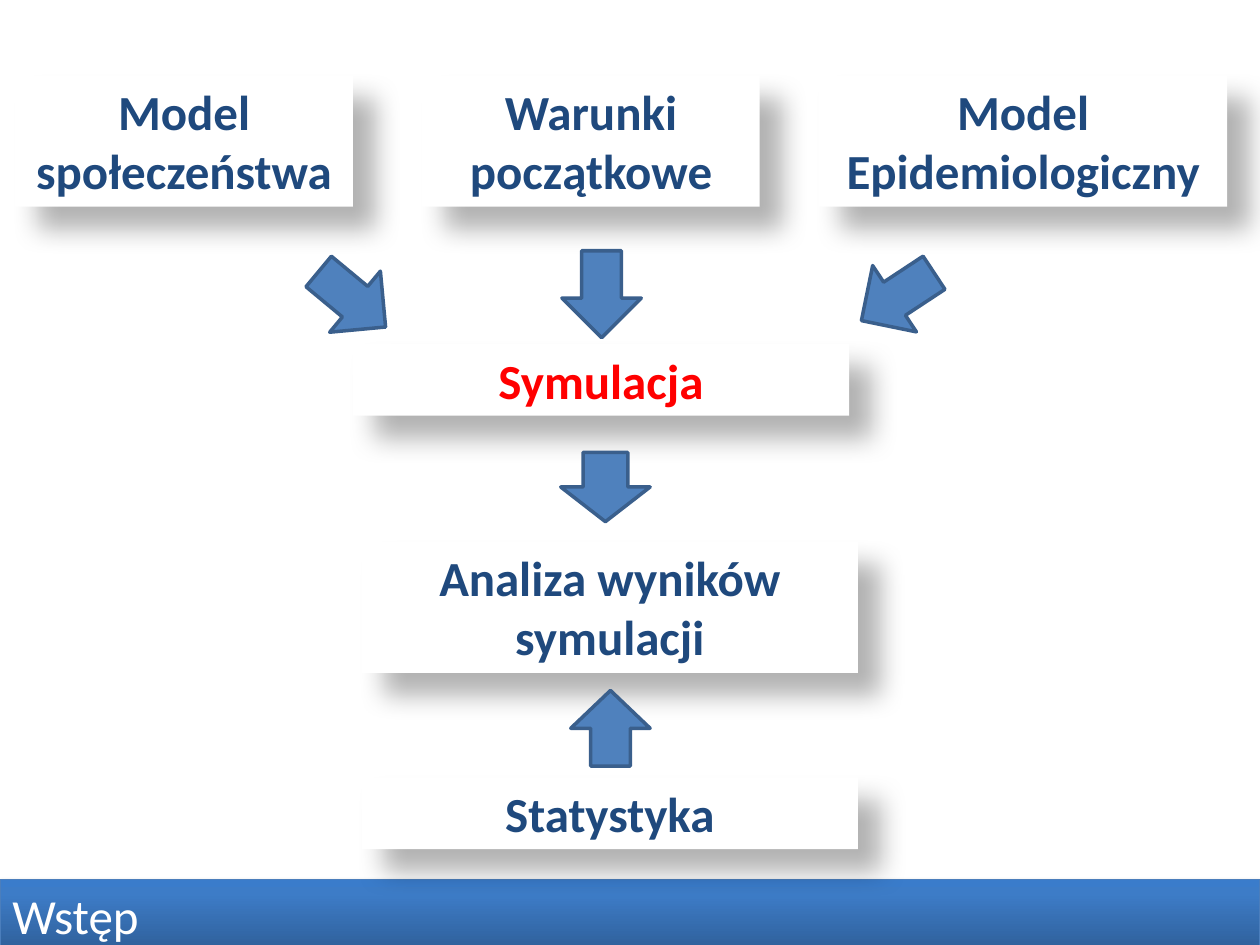
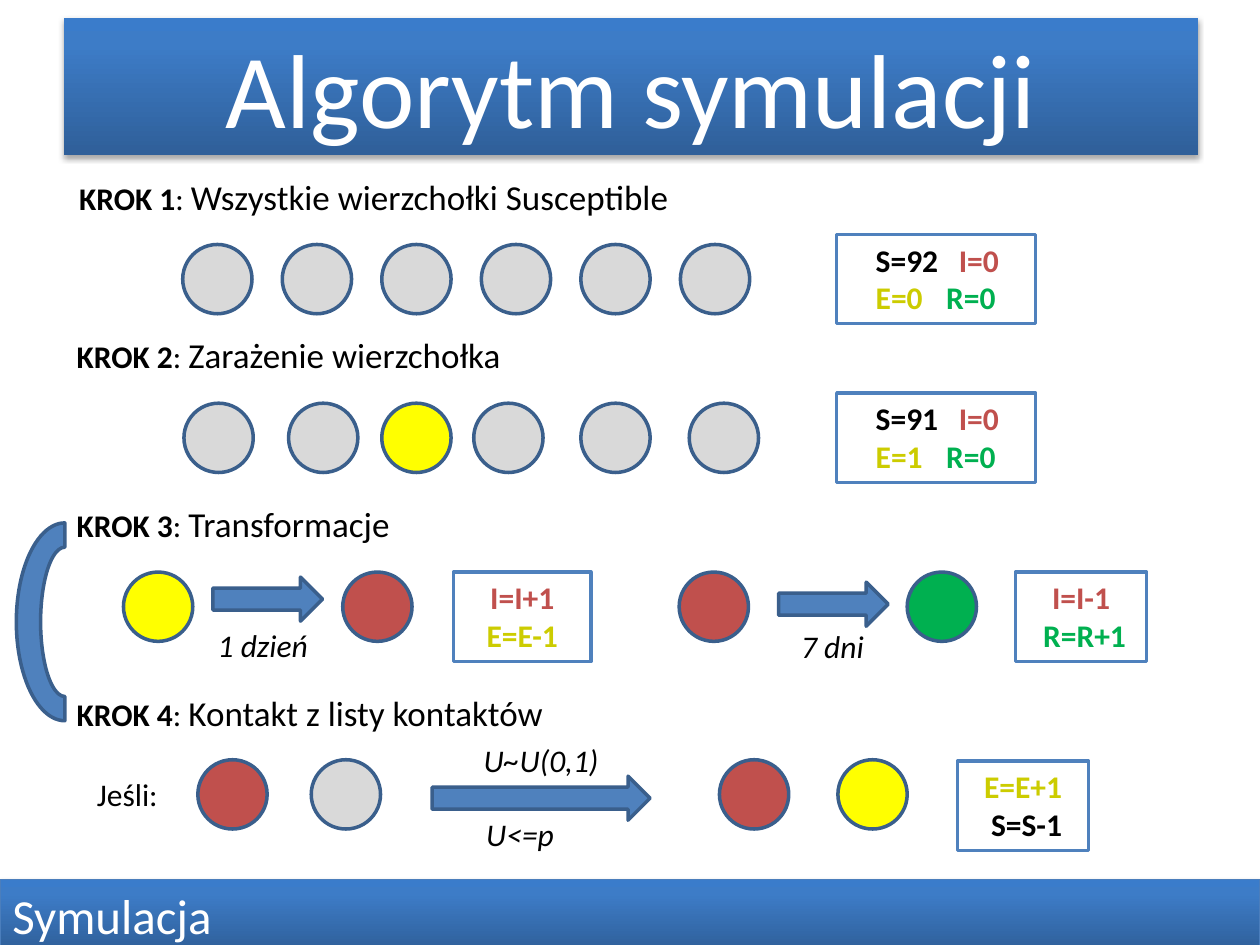
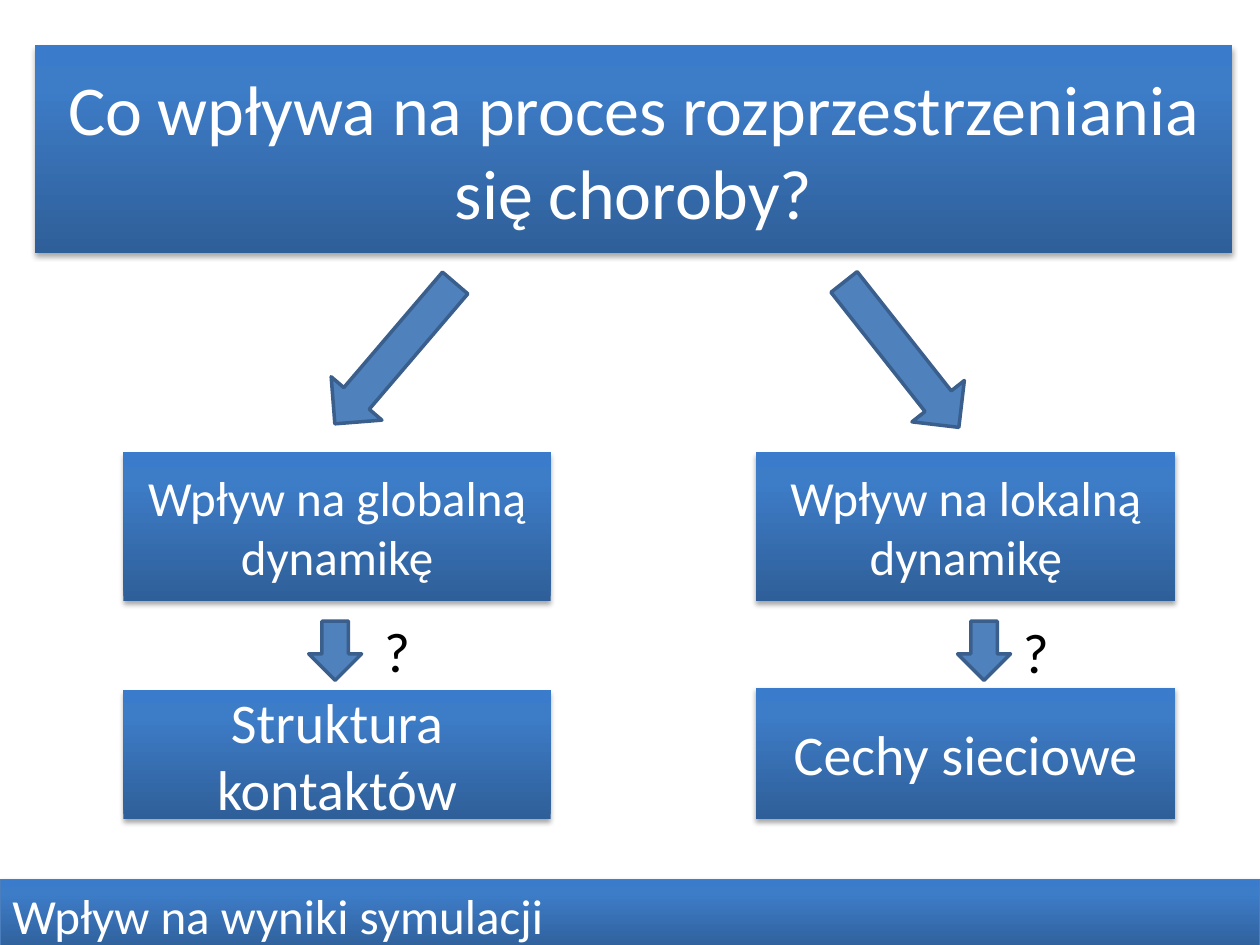
"""Build three slides about an epidemic simulation and save them to out.pptx."""
from copy import deepcopy

from lxml import etree
from pptx import Presentation
from pptx.dml.color import RGBColor
from pptx.enum.shapes import MSO_SHAPE
from pptx.enum.text import MSO_ANCHOR, PP_ALIGN
from pptx.oxml.ns import qn
from pptx.util import Inches, Pt

RECTANGLE = MSO_SHAPE.RECTANGLE
OVAL = MSO_SHAPE.OVAL
DOWN_ARROW = MSO_SHAPE.DOWN_ARROW
RIGHT_ARROW = MSO_SHAPE.RIGHT_ARROW
BLOCK_ARC = MSO_SHAPE.BLOCK_ARC
LEFT = PP_ALIGN.LEFT
CENTER = PP_ALIGN.CENTER
TOP = MSO_ANCHOR.TOP
MIDDLE = MSO_ANCHOR.MIDDLE

WHITE = RGBColor(0xFF, 0xFF, 0xFF)
BLACK = RGBColor(0x00, 0x00, 0x00)
RED = RGBColor(0xFF, 0x00, 0x00)
NAVY = RGBColor(0x1F, 0x49, 0x7D)
BLUE = RGBColor(0x4F, 0x81, 0xBD)
OUTLINE = RGBColor(0x3A, 0x5F, 0x8C)
FOOTER_LINE = RGBColor(0x4B, 0x7E, 0xBC)
GRADIENT_DARK = RGBColor(0x2F, 0x5F, 0x99)
GRADIENT_MIDDLE = RGBColor(0x3D, 0x7C, 0xC7)
GRADIENT_LIGHT = RGBColor(0x3A, 0x7C, 0xCB)
SUSCEPTIBLE = RGBColor(0xD9, 0xD9, 0xD9)
EXPOSED = RGBColor(0xFF, 0xFF, 0x00)
EXPOSED_TEXT = RGBColor(0xCC, 0xCC, 0x00)
INFECTED = RGBColor(0xC0, 0x50, 0x4D)
RECOVERED = RGBColor(0x00, 0xB0, 0x50)

FONT = "Calibri"
GRADIENT = [(0, GRADIENT_DARK), (0.8, GRADIENT_MIDDLE), (1, GRADIENT_LIGHT)]
BAND_SHADOW = (35, 3.1, 1.8, 90)
CARD_SHADOW = (30, 15, 18, 45)
CIRCLE = 0.55


def draw(slide, kind, at, fill, line=None, width=2, shadow=None, rotation=0):
    """Add a preset shape with a solid or gradient fill and an optional shadow."""
    shape = slide.shapes.add_shape(kind, *[Inches(length) for length in at])
    shape.rotation = rotation
    if fill is GRADIENT:
        shape.fill.gradient()
        shape.fill.gradient_angle = 90
        stop_list = shape._element.spPr.find(qn("a:gradFill")).find(qn("a:gsLst"))
        stop_list.append(deepcopy(stop_list[-1]))
        for stop, (position, color) in zip(shape.fill.gradient_stops, GRADIENT):
            stop.position = position
            stop.color.rgb = color
    else:
        shape.fill.solid()
        shape.fill.fore_color.rgb = fill
    if line is None:
        shape.line.fill.background()
    else:
        shape.line.color.rgb = line
        shape.line.width = Pt(width)
    shape.shadow.inherit = False
    if shadow:
        opacity, blur, distance, angle = shadow
        effects = shape._element.spPr.find(qn("a:effectLst"))
        outer = etree.SubElement(
            effects, qn("a:outerShdw"), blurRad=str(Pt(blur)), dist=str(Pt(distance)),
            dir=str(angle * 60000), algn="tl", rotWithShape="0")
        color = etree.SubElement(outer, qn("a:srgbClr"), val="000000")
        etree.SubElement(color, qn("a:alpha"), val=str(opacity * 1000))
    return shape


def write(shape, paragraphs, align=CENTER, anchor=TOP, wrap=True):
    """Fill a shape with paragraphs of (text, size, color, style) runs."""
    frame = shape.text_frame
    frame.word_wrap = wrap
    frame.vertical_anchor = anchor
    for index, runs in enumerate(paragraphs):
        paragraph = frame.add_paragraph() if index else frame.paragraphs[0]
        paragraph.alignment = align
        for text, size, color, style in runs:
            run = paragraph.add_run()
            run.text = text
            run.font.name = FONT
            run.font.size = Pt(size)
            run.font.color.rgb = color
            run.font.bold = style == "bold"
            run.font.italic = style == "italic"


presentation = Presentation()
presentation.slide_width = Inches(10)
presentation.slide_height = Inches(7.5)
slides = []
for section in ["Wstęp", "Symulacja", "Wpływ na wyniki symulacji"]:
    slide = presentation.slides.add_slide(presentation.slide_layouts[6])
    footer = draw(slide, RECTANGLE, (0, 6.98, 10, 0.57), GRADIENT, FOOTER_LINE, 0.75, BAND_SHADOW)
    write(footer, [[(section, 28, WHITE, "")]], LEFT)
    slides.append(slide)
overview, algorithm, influence = slides

cards = [
    ((2.8, 2.73, 3.94, 0.57), ["Symulacja"], RED),
    ((0.12, 0.6, 2.68, 1.04), ["Model społeczeństwa"], NAVY),
    ((3.35, 0.6, 2.68, 1.04), ["Warunki początkowe"], NAVY),
    ((6.5, 0.6, 3.24, 1.04), ["Model", "Epidemiologiczny"], NAVY),
    ((2.87, 4.3, 3.94, 1.04), ["Analiza wyników symulacji"], NAVY),
    ((2.87, 6.17, 3.94, 0.57), ["Statystyka"], NAVY),
]
for at, lines, color in cards:
    card = draw(overview, RECTANGLE, at, WHITE, shadow=CARD_SHADOW)
    write(card, [[(text, 28, color, "bold")] for text in lines])

arrows = [
    (overview, (6.81, 2.01, 0.63, 0.69), 56.6),
    (overview, (4.46, 1.99, 0.63, 0.69), 0),
    (overview, (2.48, 2.03, 0.63, 0.69), 309.7),
    (overview, (4.45, 3.59, 0.71, 0.55), 0),
    (overview, (4.53, 5.48, 0.63, 0.6), 180),
    (influence, (2.87, 2.07, 0.53, 1.47), 40.5),
    (influence, (6.89, 2.08, 0.53, 1.47), 321.7),
    (influence, (2.45, 4.93, 0.42, 0.47), 0),
    (influence, (7.6, 4.93, 0.42, 0.47), 0),
]
for slide, at, rotation in arrows:
    draw(slide, DOWN_ARROW, at, BLUE, OUTLINE, rotation=rotation)

bands = [
    (algorithm, (0.51, 0.14, 9, 1.09), "Algorytm symulacji", 60),
    (influence, (0.28, 0.36, 9.5, 1.65), "Co wpływa na proces rozprzestrzeniania się choroby?", 40),
    (influence, (6, 3.59, 3.33, 1.18), "Wpływ na lokalną dynamikę", 28),
    (influence, (0.98, 3.59, 3.39, 1.18), "Wpływ na globalną dynamikę", 28),
    (influence, (0.98, 5.48, 3.39, 1.02), "Struktura kontaktów", 32),
    (influence, (6, 5.46, 3.33, 1.04), "Cechy sieciowe", 32),
]
for slide, at, text, size in bands:
    band = draw(slide, RECTANGLE, at, GRADIENT, shadow=BAND_SHADOW)
    write(band, [[(text, size, WHITE, "")]], anchor=MIDDLE)

steps = [
    (0.53, 1.34, "Wszystkie wierzchołki Susceptible"),
    (0.51, 2.6, "Zarażenie wierzchołka"),
    (0.51, 3.94, "Transformacje"),
    (0.51, 5.44, "Kontakt z listy kontaktów"),
]
for number, (left, top, text) in enumerate(steps, 1):
    heading = algorithm.shapes.add_textbox(Inches(left), Inches(top), Inches(6.12), Inches(0.44))
    write(heading, [[(f"KROK {number}", 18, BLACK, "bold"), (": ", 18, BLACK, ""),
                     (text, 20, BLACK, "")]], LEFT)

circles = [(1.45 + 0.79 * index, 1.94, SUSCEPTIBLE) for index in range(6)]
circles += [(left, 3.2, SUSCEPTIBLE) for left in (1.46, 2.29, 3.76, 4.61, 5.47)]
circles += [
    (3.03, 3.2, EXPOSED),
    (0.98, 4.54, EXPOSED),
    (2.72, 4.54, INFECTED),
    (5.39, 4.54, INFECTED),
    (7.2, 4.54, RECOVERED),
    (1.57, 6.03, INFECTED),
    (2.47, 6.03, SUSCEPTIBLE),
    (5.71, 6.03, INFECTED),
    (6.65, 6.03, EXPOSED),
]
for left, top, color in circles:
    draw(algorithm, OVAL, (left, top, CIRCLE, CIRCLE), color, OUTLINE)

for left, top, width in [(1.69, 4.58, 0.87), (6.18, 4.62, 0.87), (3.43, 6.16, 1.73)]:
    draw(algorithm, RIGHT_ARROW, (left, top, width, 0.35), BLUE, OUTLINE)
draw(algorithm, BLOCK_ARC, (-0.27, 4.55, 1.57, 0.77), BLUE, OUTLINE, rotation=270)

for top, susceptible, exposed in [(1.86, "S=92", "E=0"), (3.12, "S=91", "E=1")]:
    counter = draw(algorithm, RECTANGLE, (6.64, top, 1.58, 0.71), WHITE, BLUE)
    write(counter, [
        [(susceptible, 18, BLACK, "bold"), ("\tI=0", 18, INFECTED, "bold")],
        [(exposed, 18, EXPOSED_TEXT, "bold"), ("\tR=0", 18, RECOVERED, "bold")],
    ], LEFT)
    counter.text_frame.margin_left = Inches(0.31)
    for paragraph, tab in zip(counter.text_frame.paragraphs, (0.66, 0.56)):
        tabs = etree.SubElement(paragraph._p.get_or_add_pPr(), qn("a:tabLst"))
        etree.SubElement(tabs, qn("a:tab"), pos=str(Inches(tab)), algn="l")

changes = [
    (3.6, 4.54, 1.09, ("I=I+1", INFECTED), ("E=E-1", EXPOSED_TEXT)),
    (8.06, 4.54, 1.04, ("I=I-1", INFECTED), (" R=R+1", RECOVERED)),
    (7.6, 6.04, 1.04, ("E=E+1", EXPOSED_TEXT), (" S=S-1", BLACK)),
]
for left, top, width, *lines in changes:
    change = draw(algorithm, RECTANGLE, (left, top, width, 0.71), WHITE, BLUE)
    write(change, [[(text, 18, color, "bold")] for text, color in lines])

labels = [
    (algorithm, (0.67, 6.1, 1.09, 0.4), "Jeśli:", 18, ""),
    (algorithm, (1.63, 4.92, 0.93, 0.4), "1 dzień", 18, "italic"),
    (algorithm, (6.26, 4.93, 0.71, 0.4), "7 dni", 18, "italic"),
    (algorithm, (3.74, 5.83, 1.12, 0.4), "U~U(0,1)", 18, "italic"),
    (algorithm, (3.76, 6.42, 0.75, 0.4), "U<=p", 18, "italic"),
    (influence, (2.95, 4.84, 1, 0.64), "?", 32, ""),
    (influence, (8.02, 4.85, 1, 0.64), "?", 32, ""),
]
for slide, at, text, size, style in labels:
    label = slide.shapes.add_textbox(*[Inches(length) for length in at])
    write(label, [[(text, size, BLACK, style)]], LEFT, wrap=style != "italic")

presentation.save("out.pptx")
